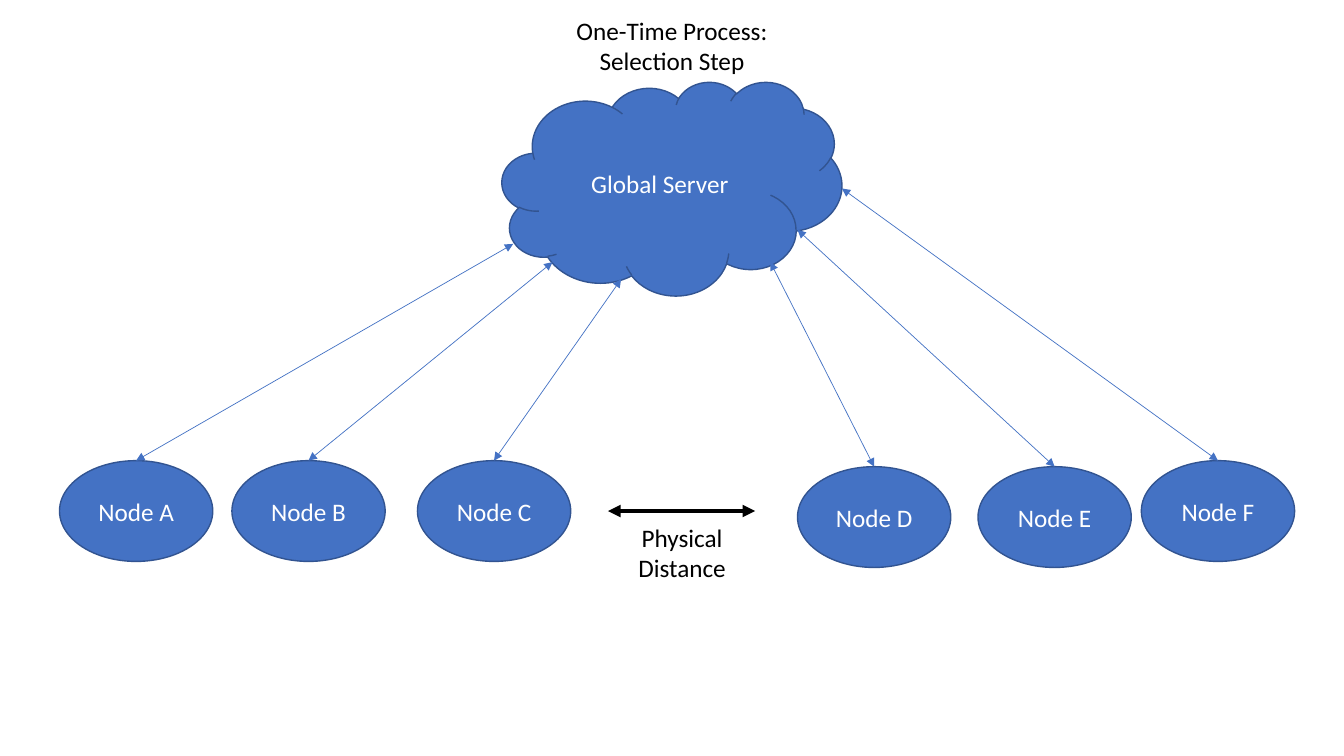
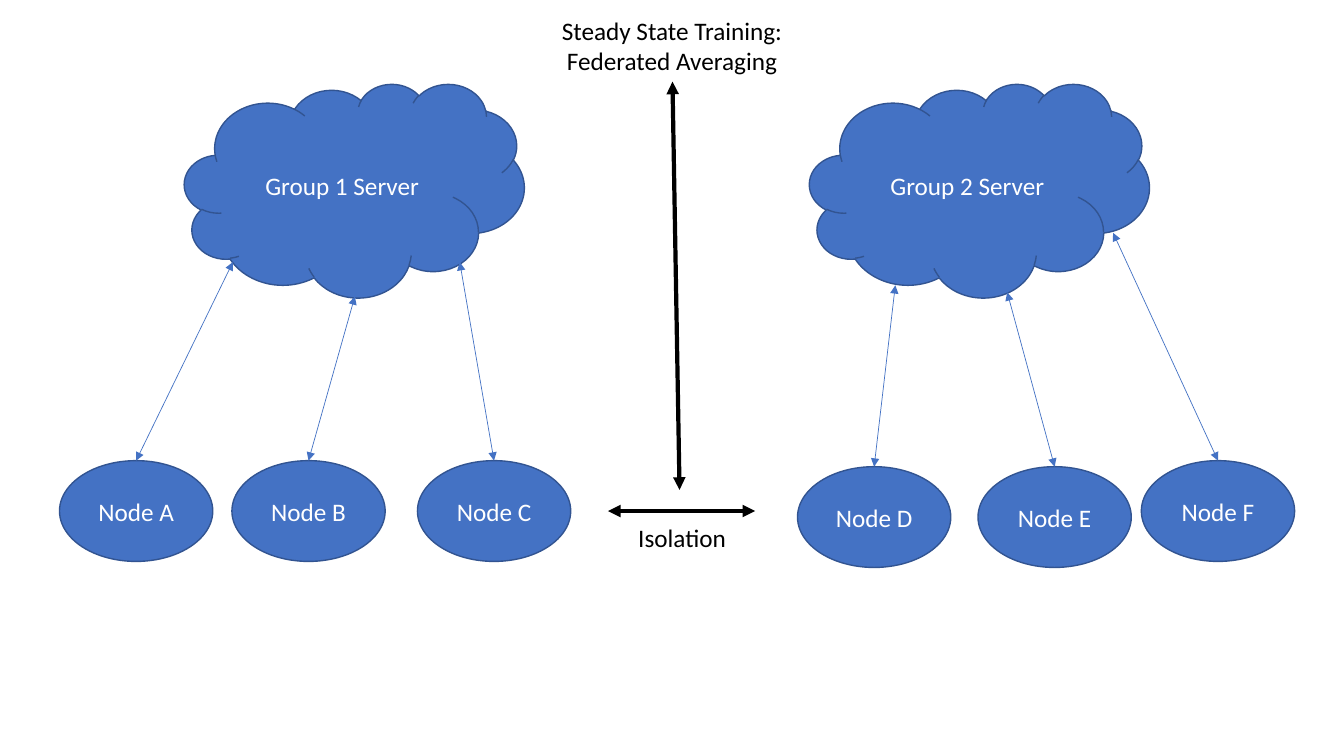
from lxml.etree import SubElement
from pptx import Presentation
from pptx.dml.color import RGBColor
from pptx.enum.shapes import MSO_CONNECTOR, MSO_SHAPE
from pptx.enum.text import MSO_ANCHOR, MSO_AUTO_SIZE, PP_ALIGN
from pptx.oxml.ns import qn
from pptx.util import Inches, Pt

COLORS = {"blue": "4472C4", "outline": "325491", "black": "000000", "white": "FFFFFF"}
NODES = {
    "Node A": (0.59, 4.57),
    "Node B": (2.3, 4.57),
    "Node C": (4.14, 4.57),
    "Node D": (7.91, 4.63),
    "Node E": (9.7, 4.63),
    "Node F": (11.32, 4.57),
}
SLIDES = [
    {
        "title": "One-Time Process: Selection Step",
        "servers": {"Global Server": (4.98, 0.81)},
        "link_ends": [(5.09, 2.42), (5.48, 2.6), (6.16, 2.77),
                      (7.64, 2.6), (7.91, 2.28), (8.35, 1.87)],
        "gap_label": "Physical Distance",
        "gap_height": 0.71,
        "dividers": [],
    },
    {
        "title": "Steady State Training: Federated Averaging",
        "servers": {"Group 1 Server": (1.83, 0.83), "Group 2 Server": (8.03, 0.83)},
        "link_ends": [(2.31, 2.6), (3.52, 2.94), (4.56, 2.6),
                      (8.88, 2.83), (9.99, 2.9), (11.04, 2.31)],
        "gap_label": "Isolation",
        "gap_height": 0.4,
        "dividers": [((6.67, 0.81), (6.74, 4.86))],
    },
]


class Diagram:
    """Draws servers, nodes and links in one style on the current slide."""

    font = "Calibri"
    text_size = Pt(18)
    server_size = (3.37, 2.12)
    node_size = (1.52, 1)

    def __init__(self):
        self.deck = Presentation()
        self.deck.slide_width = Inches(13.33)
        self.deck.slide_height = Inches(7.5)
        self.slide = None

    def color(self, name):
        return RGBColor.from_string(COLORS[name])

    def set_text(self, shape, text, color, anchor):
        frame = shape.text_frame
        frame.text = text
        frame.word_wrap = True
        frame.auto_size = MSO_AUTO_SIZE.NONE
        frame.vertical_anchor = anchor
        para = frame.paragraphs[0]
        para.alignment = PP_ALIGN.CENTER
        for span in para.runs:
            span.font.name = self.font
            span.font.size = self.text_size
            span.font.color.rgb = self.color(color)

    def add_slide(self, title):
        self.slide = self.deck.slides.add_slide(self.deck.slide_layouts[5])
        heading = self.slide.shapes.title
        heading.left, heading.top = Inches(5.43), Inches(0.1)
        heading.width, heading.height = Inches(2.47), Inches(0.71)
        self.set_text(heading, title, "black", MSO_ANCHOR.TOP)

    def add_label(self, text, left, top, width, height):
        box = self.slide.shapes.add_textbox(
            Inches(left), Inches(top), Inches(width), Inches(height))
        self.set_text(box, text, "black", MSO_ANCHOR.TOP)

    def add_block(self, kind, text, position, size):
        block = self.slide.shapes.add_shape(
            kind, *(Inches(length) for length in (*position, *size)))
        block.shadow.inherit = False
        block.fill.solid()
        block.fill.fore_color.rgb = self.color("blue")
        block.line.color.rgb = self.color("outline")
        block.line.width = Pt(1)
        self.set_text(block, text, "white", MSO_ANCHOR.MIDDLE)
        return block

    def add_server(self, text, position):
        return self.add_block(MSO_SHAPE.CLOUD, text, position, self.server_size)

    def add_node(self, text, position):
        return self.add_block(MSO_SHAPE.OVAL, text, position, self.node_size)

    def add_arrow(self, start, end, color="black", width=3):
        arrow = self.slide.shapes.add_connector(
            MSO_CONNECTOR.STRAIGHT, *(Inches(length) for length in (*start, *end)))
        arrow.line.color.rgb = self.color(color)
        arrow.line.width = Pt(width)
        properties = arrow._element.spPr
        outline = properties.find(qn("a:ln"))
        for tag in ("a:headEnd", "a:tailEnd"):
            SubElement(outline, qn(tag), type="triangle")
        SubElement(properties, qn("a:effectLst"))
        return arrow

    def add_link(self, node, end):
        link = self.add_arrow(end, end, "blue", 0.5)
        link.begin_connect(node, 0)


def main():
    diagram = Diagram()
    for content in SLIDES:
        diagram.add_slide(content["title"])
        for name, position in content["servers"].items():
            diagram.add_server(name, position)
        nodes = [diagram.add_node(name, position) for name, position in NODES.items()]
        for node, end in zip(nodes, content["link_ends"]):
            diagram.add_link(node, end)
        diagram.add_arrow((6.03, 5.07), (7.49, 5.07))
        diagram.add_label(content["gap_label"], 6.16, 5.13, 1.21, content["gap_height"])
        for start, end in content["dividers"]:
            diagram.add_arrow(start, end)
    diagram.deck.save("out.pptx")


if __name__ == "__main__":
    main()
